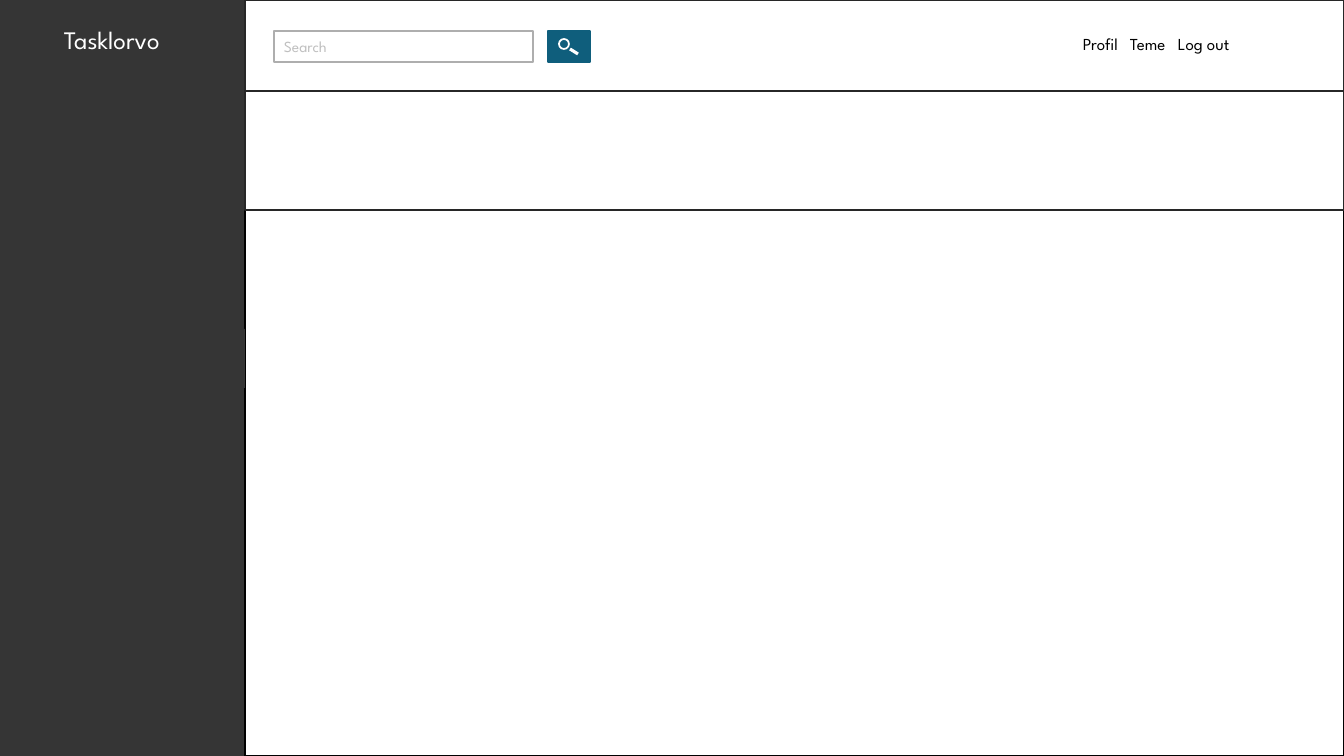
from pptx import Presentation
from pptx.dml.color import RGBColor
from pptx.enum.shapes import MSO_CONNECTOR, MSO_SHAPE
from pptx.enum.text import MSO_ANCHOR, MSO_AUTO_SIZE, PP_ALIGN
from pptx.oxml.ns import qn
from pptx.util import Pt
from lxml.etree import SubElement

# Content
TITLE = "Tasklorvo"
HINT = "Search"
LINKS = ["Profil", "Teme", "Log out"]
MENU_ROWS = 5

THEME = {
    "font": "League Spartan",
    "dark": "353535", "white": "FFFFFF", "black": "000000",
    "rule": "272727", "field": "AEAEAE", "hint": "BFBFBF", "accent": "0F5E7C",
    "title_size": 18, "link_size": 12, "hint_size": 11,
    "thin": 1.25, "thick": 2.25,
}

# Layout in px
SCALE = 914400 / 100.8
WIDE, HIGH = 1344, 756
SIDE, HEAD, PAIR = 245, 91, 119  # PAIR: height of two menu rows
MAIN = WIDE - SIDE
BODY = HEAD + PAIR
TABS = [47, 95]


def emu(px):
    return round(px * SCALE)


def color(name):
    return RGBColor.from_string(THEME[name])


def box(x, y, w, h, fill=None, line=None, kind=MSO_SHAPE.RECTANGLE):
    shape = slide.shapes.add_shape(kind, emu(x), emu(y), emu(w), emu(h))
    shape.shadow.inherit = False
    if fill:
        shape.fill.solid()
        shape.fill.fore_color.rgb = color(fill)
    else:
        shape.fill.background()
    if line:
        shape.line.color.rgb = color(line)
        shape.line.width = Pt(THEME["thin"])
    else:
        shape.line.fill.background()
    return shape


def write(shape, text, size, ink):
    frame = shape.text_frame
    frame.text = text
    frame.word_wrap = True
    para = frame.paragraphs[0]
    para.alignment = PP_ALIGN.LEFT
    font = para.runs[0].font
    font.name, font.size = THEME["font"], Pt(THEME[size])
    font.color.rgb = color(ink)
    return frame


def label(x, y, w, h, text, size, ink):
    shape = slide.shapes.add_textbox(emu(x), emu(y), emu(w), emu(h))
    frame = write(shape, text, size, ink)
    frame.auto_size = MSO_AUTO_SIZE.SHAPE_TO_FIT_TEXT
    return frame


def menu_row(i):
    top, end = (HEAD + n * PAIR // 2 for n in (i, i + 1))
    box(0, top, SIDE, end - top, "dark")


deck = Presentation()
deck.slide_width, deck.slide_height = emu(WIDE), emu(HIGH)
slide = deck.slides.add_slide(deck.slide_layouts[6])

# Sidebar and page
box(0, 0, SIDE, HIGH, "dark")
box(SIDE, 0, MAIN, HIGH, "white")
label(54, 19, 137, 40, TITLE, "title_size", "white")

# Header with search field
box(SIDE, 0, MAIN, HEAD, "white", "rule")
field = box(274, 31, 259, 31, "white", "field")
write(field, HINT, "hint_size", "hint").vertical_anchor = MSO_ANCHOR.MIDDLE

# Search button: lens and handle
box(548, 31, 42, 31, "accent", "accent")
box(559, 39, 10, 10, line="white", kind=MSO_SHAPE.OVAL)
grip = slide.shapes.add_connector(
    MSO_CONNECTOR.STRAIGHT, emu(570), emu(49), emu(578), emu(54))
grip.line.color.rgb = color("white")
grip.line.width = Pt(THEME["thick"])
SubElement(grip.element.spPr, qn("a:effectLst"))

# Header links, spaced by tab stops
links = label(1073, 29, 223, 31, "\t".join(LINKS), "link_size", "black")
stops = SubElement(links.paragraphs[0]._p.get_or_add_pPr(), qn("a:tabLst"))
for px in TABS:
    SubElement(stops, qn("a:tab"), pos=str(emu(px)), algn="l")

# Menu rows and content panels; the last row overlaps the panel edge
for i in range(MENU_ROWS - 1):
    menu_row(i)
box(SIDE, BODY, MAIN, HIGH - BODY, "white", "black")
box(SIDE, HEAD, MAIN, PAIR, "white", "rule")
menu_row(MENU_ROWS - 1)

deck.save("out.pptx")
